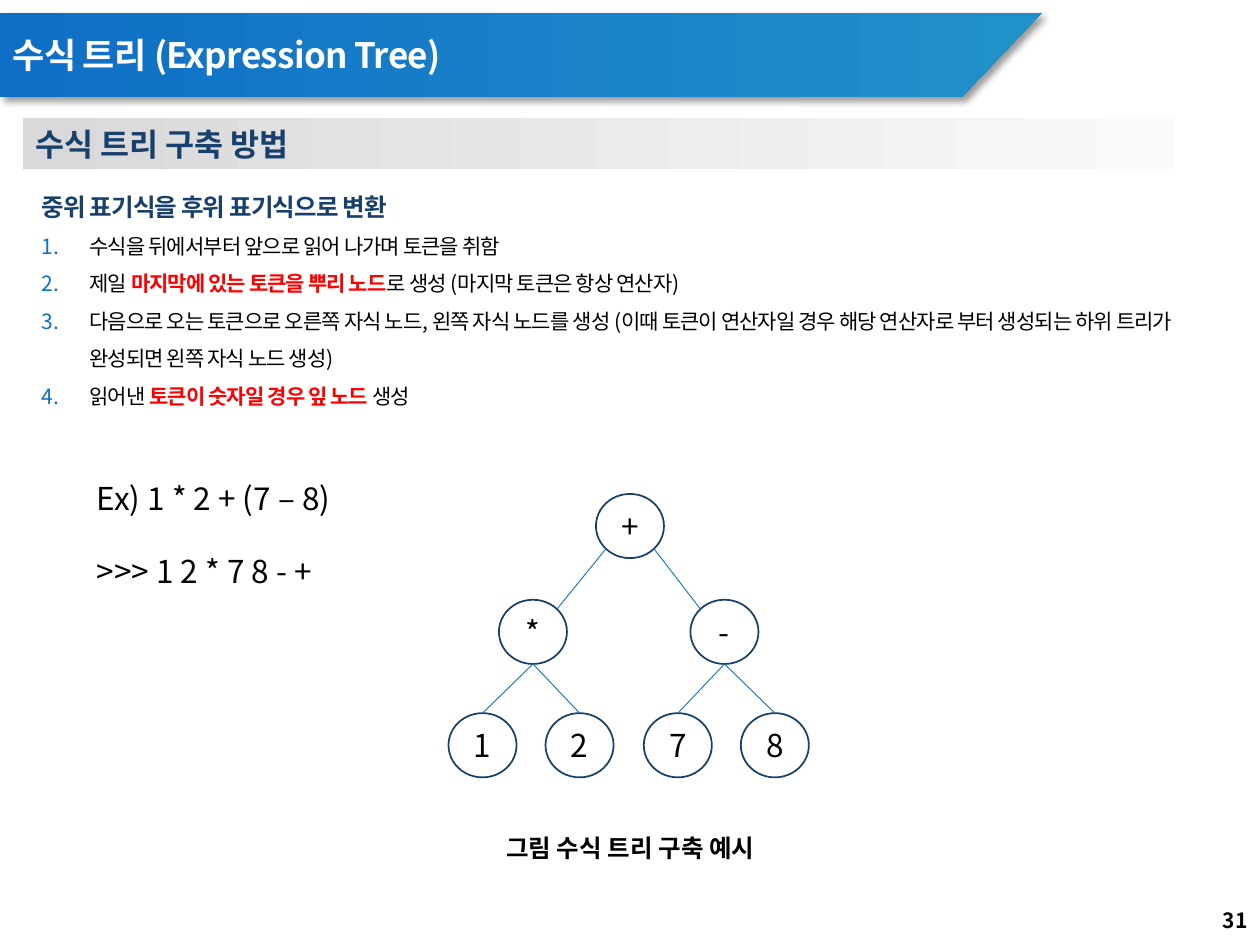
import pptx
import pptx.dml.color
import pptx.enum.shapes
import pptx.enum.text
import pptx.oxml
import pptx.oxml.ns
import pptx.util
import lxml.etree

Inches, Pt = pptx.util.Inches, pptx.util.Pt
RGB = pptx.dml.color.RGBColor
ANCHOR, ALIGN = pptx.enum.text.MSO_ANCHOR, pptx.enum.text.PP_ALIGN
SHAPE = pptx.enum.shapes.MSO_SHAPE
qn = pptx.oxml.ns.qn

FONT = "Noto Sans CJK KR"
WHITE = RGB(0xFF, 0xFF, 0xFF)
BLACK = RGB(0, 0, 0)
RED = RGB(0xFF, 0, 0)
NAVY = RGB(0x17, 0x40, 0x6D)
BLUE = RGB(0x0F, 0x6F, 0xC6)
TEAL = RGB(0x21, 0x91, 0xC9)
GRAY = RGB(0xD9, 0xD9, 0xD9)
PALE = RGB(0xFA, 0xFA, 0xFA)

TITLE = {"size": Pt(20), "bold": True, "color": WHITE, "spacing": -40}
SECTION = {"size": Pt(18), "bold": True, "color": NAVY}
HEADING = {"size": Pt(14), "bold": True, "color": NAVY, "spacing": -50}
PLAIN = {"size": Pt(12), "bold": False, "color": BLACK, "spacing": -50}
STRONG = {**PLAIN, "bold": True, "color": RED}
CAPTION = {"size": Pt(14), "bold": True, "color": BLACK}
NUMBER = {**CAPTION, "size": Pt(12)}
FORMULA = {"size": Pt(18), "bold": False, "color": BLACK}

STEPS = [
    [("수식을 뒤에서부터 앞으로 읽어 나가며 토큰을 취함", PLAIN)],
    [("제일 ", PLAIN), ("마지막에 있는 토큰을 뿌리 노드", STRONG),
     ("로 생성 (마지막 토큰은 항상 연산자)", PLAIN)],
    [("다음으로 오는 토큰으로 오른쪽 자식 노드, 왼쪽 자식 노드를 생성 "
      "(이때 토큰이 연산자일 경우 해당 연산자로 부터 생성되는 하위 트리가 "
      "완성되면 왼쪽 자식 노드 생성)", PLAIN)],
    [("읽어낸 ", PLAIN), ("토큰이 숫자일 경우 잎 노드 ", STRONG), ("생성", PLAIN)],
]

NODES = {"+": (1.17, 0), "*": (0.4, 0.84), "-": (1.92, 0.84),
         "1": (0, 1.74), "2": (0.77, 1.74), "7": (1.55, 1.74), "8": (2.32, 1.74)}
NODE_SIZE = (0.54, 0.51)
LOW_LEFT, LOW_RIGHT, BOTTOM = (0.15, 0.85), (0.85, 0.85), (0.5, 1)
TOP_LEFT, TOP_RIGHT, TOP = (0.15, 0.15), (0.85, 0.15), (0.5, 0)
EDGES = [("+", LOW_LEFT, "*", TOP_RIGHT), ("+", LOW_RIGHT, "-", TOP_LEFT),
         ("*", BOTTOM, "1", TOP), ("*", BOTTOM, "2", TOP),
         ("-", BOTTOM, "7", TOP), ("-", BOTTOM, "8", TOP)]


def add_span(para, text, style):
    span = para.add_run()
    span.text = text
    formats = {"name": FONT, "size": style["size"], "bold": style["bold"]}
    for name, value in formats.items():
        setattr(span.font, name, value)
    span.font.color.rgb = style["color"]
    properties = span._r.get_or_add_rPr()
    properties.set("spc", str(style.get("spacing", 0)))
    latin = properties.find(qn("a:latin"))
    east_asian = properties.makeelement(qn("a:ea"), {"typeface": FONT})
    latin.addnext(east_asian)


def write(shape, text, style, align=ALIGN.LEFT):
    frame = shape.text_frame
    frame.word_wrap = True
    frame.vertical_anchor = ANCHOR.MIDDLE
    frame.paragraphs[0].alignment = align
    add_span(frame.paragraphs[0], text, style)


def place(shape, area):
    for name, value in zip(("left", "top", "width", "height"), area):
        setattr(shape, name, Inches(value))


def add_text(page, area, text, style, align=ALIGN.LEFT):
    box = page.shapes.add_textbox(*map(Inches, area))
    write(box, text, style, align)


def paint_gradient(shape, start, end):
    shape.shadow.inherit = False
    shape.line.fill.background()
    shape.fill.gradient()
    shape.fill.gradient_angle = 0
    for stop, color, position in zip(shape.fill.gradient_stops, (start, end), (0, 1)):
        stop.color.rgb = color
        stop.position = position


def add_title(page, area):
    left, top, width, height = map(Inches, area)
    outline = page.shapes.build_freeform(left, top)
    outline.add_line_segments([(left + width, top),
                               (left + width - height * 0.95, top + height),
                               (left, top + height)])
    banner = outline.convert_to_shape()
    paint_gradient(banner, BLUE, TEAL)
    effects = banner.element.spPr.find(qn("a:effectLst"))
    shadow = lxml.etree.SubElement(effects, qn("a:outerShdw"), blurRad=str(Pt(4)),
                                   dist=str(Pt(3)), dir="2700000", algn="tl")
    color = lxml.etree.SubElement(shadow, qn("a:srgbClr"), val="000000")
    lxml.etree.SubElement(color, qn("a:alpha"), val="40000")
    banner.element.getparent().insert(2, banner.element)
    title = page.shapes.title
    place(title, (area[0], area[1] + 0.1, 6.69, 0.47))
    write(title, "수식 트리 (Expression Tree)", TITLE)


def add_section(page, area):
    bar = page.shapes.add_shape(SHAPE.RECTANGLE, *map(Inches, area))
    paint_gradient(bar, GRAY, PALE)
    write(bar, "수식 트리 구축 방법", SECTION)


def add_steps(page, area):
    body = page.placeholders[1]
    place(body, area)
    frame = body.text_frame
    frame.word_wrap = True
    frame.auto_size = pptx.enum.text.MSO_AUTO_SIZE.NONE
    lines = [[("중위 표기식을 후위 표기식으로 변환", HEADING)], *STEPS]
    for index, line in enumerate(lines):
        para = frame.add_paragraph() if index else frame.paragraphs[0]
        formats = {"line_spacing": Pt(21.4 if index else 25.5),
                   "space_before": Pt(0), "space_after": Pt(0)}
        for name, value in formats.items():
            setattr(para, name, value)
        properties = para._p.get_or_add_pPr()
        indent = Inches(0.38) if index else 0
        properties.set("marL", str(indent))
        properties.set("indent", str(-indent))
        if index:
            color = lxml.etree.SubElement(properties, qn("a:buClr"))
            lxml.etree.SubElement(color, qn("a:srgbClr"), val=str(BLUE))
            lxml.etree.SubElement(properties, qn("a:buFont"), typeface=FONT)
            lxml.etree.SubElement(properties, qn("a:buAutoNum"), type="arabicPeriod")
        else:
            lxml.etree.SubElement(properties, qn("a:buNone"))
        for text, style in line:
            add_span(para, text, style)


def add_formulas(page, area):
    left, top, width, height = area
    for row, text in enumerate(("Ex) 1 * 2 + (7 – 8)", ">>> 1 2 * 7 8 - +")):
        add_text(page, (left, top + row * 0.58, width, height), text, FORMULA)


def add_tree(page, left, top):
    def point(label, share):
        return [Inches(origin + offset + size * part) for origin, offset, size, part
                in zip((left, top), NODES[label], NODE_SIZE, share)]

    for label in NODES:
        node = page.shapes.add_shape(SHAPE.OVAL, *point(label, (0, 0)),
                                     *map(Inches, NODE_SIZE))
        node.shadow.inherit = False
        node.fill.solid()
        node.fill.fore_color.rgb = WHITE
        node.line.color.rgb = NAVY
        node.line.width = Pt(1)
        for side in ("left", "right", "top", "bottom"):
            setattr(node.text_frame, f"margin_{side}", 0)
        write(node, label, FORMULA, ALIGN.CENTER)
    for parent, start, child, end in EDGES:
        edge = page.shapes.add_connector(pptx.enum.shapes.MSO_CONNECTOR.STRAIGHT,
                                         *point(parent, start), *point(child, end))
        edge.line.color.rgb = BLUE
        edge.line.width = Pt(0.5)
        lxml.etree.SubElement(edge.element.spPr, qn("a:effectLst"))


def main():
    deck = pptx.Presentation()
    deck.slide_width, deck.slide_height = Inches(10), Inches(7.5)
    page = deck.slides.add_slide(deck.slide_layouts[1])
    add_title(page, (0, 0.1, 8.27, 0.67))
    add_section(page, (0.18, 0.94, 9.13, 0.4))
    add_steps(page, (0.23, 1.35, 9.45, 2.23))
    add_formulas(page, (0.67, 3.75, 2.53, 0.4))
    add_tree(page, 3.56, 3.92)
    add_text(page, (3.92, 6.56, 2.77, 0.34), "그림 수식 트리 구축 예시", CAPTION)
    add_text(page, (7.75, 7.1, 2.25, 0.4), "31", NUMBER, ALIGN.RIGHT)
    deck.save("out.pptx")


if __name__ == "__main__":
    main()
